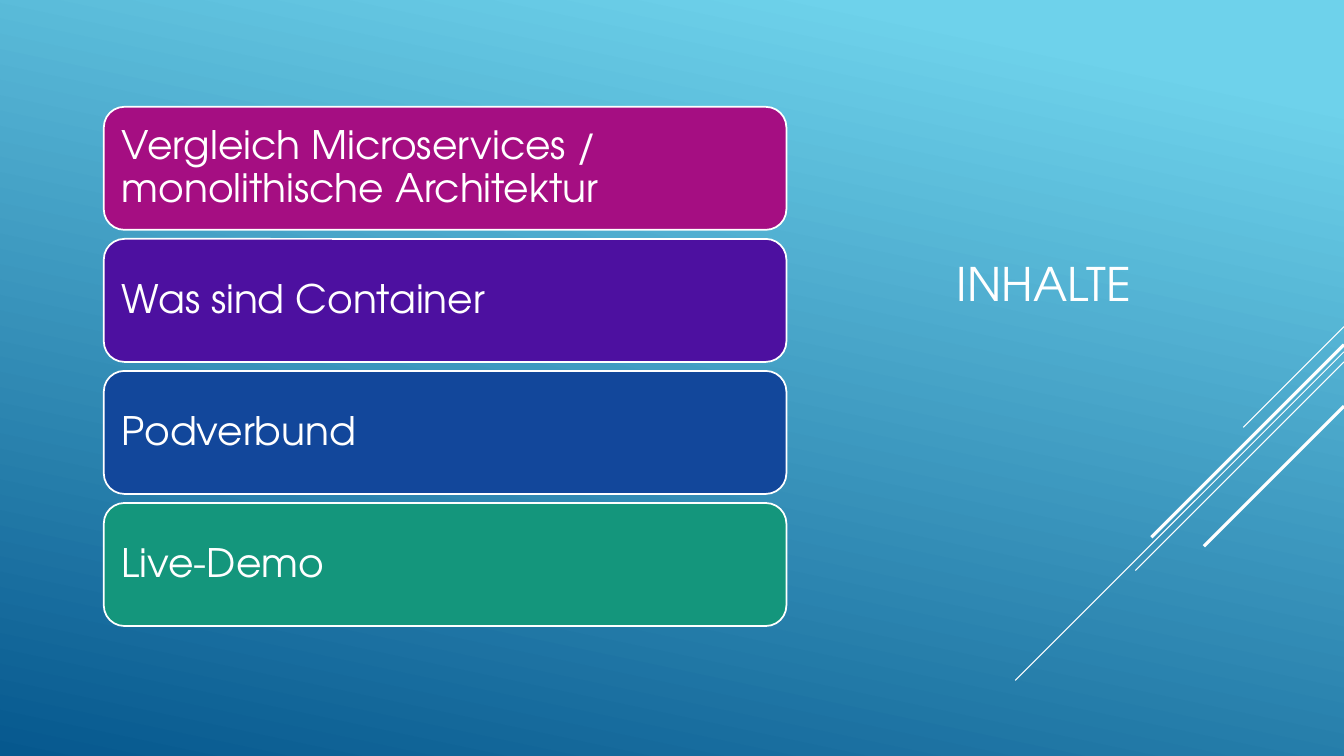
"""Build the contents slide with four topic cards and diagonal accent lines."""
from dataclasses import dataclass

import lxml.etree
import pptx
import pptx.dml.color
import pptx.enum.shapes
import pptx.enum.text
import pptx.oxml.ns
import pptx.slide
import pptx.text.text
import pptx.util

Inches = pptx.util.Inches
Pt = pptx.util.Pt
RGBColor = pptx.dml.color.RGBColor

WHITE = RGBColor(0xFF, 0xFF, 0xFF)
SKY = RGBColor(0x6E, 0xD2, 0xEB)
OCEAN = RGBColor(0x06, 0x58, 0x8E)
MAGENTA = RGBColor(0xA5, 0x0E, 0x82)
VIOLET = RGBColor(0x4D, 0x10, 0xA0)
BLUE = RGBColor(0x12, 0x47, 0x9B)
GREEN = RGBColor(0x14, 0x96, 0x7C)

FONT = "TeX Gyre Adventor"
SLIDE_WIDTH = 13.33
SLIDE_HEIGHT = 7.5
CARD_LEFT, CARD_TOP = 1.03, 1.06
CARD_WIDTH, CARD_HEIGHT, CARD_GAP = 6.77, 1.22, 0.09
CARD_INSET = 0.12


@dataclass(frozen=True)
class Topic:
    text: str
    color: RGBColor


@dataclass(frozen=True)
class Streak:
    top: float
    reach: float
    weight: float


TOPICS = [
    Topic("Vergleich Microservices / monolithische Architektur", MAGENTA),
    Topic("Was sind Container", VIOLET),
    Topic("Podverbund", BLUE),
    Topic("Live-Demo", GREEN),
]

STREAKS = [
    Streak(3.24, 1.0, 0.75),
    Streak(3.49, 3.26, 0.75),
    Streak(3.59, 2.07, 0.75),
    Streak(3.42, 1.91, 2.25),
    Streak(4.03, 1.39, 2.25),
]


def paint_background(slide: pptx.slide.Slide) -> None:
    fill = slide.background.fill
    fill.gradient()
    fill.gradient_angle = 258
    for stop, color, position in zip(fill.gradient_stops, (SKY, OCEAN), (0.1, 1.0)):
        stop.color.rgb = color
        stop.position = position


def style_text(
    paragraph: pptx.text.text._Paragraph, size: float, spacing: float
) -> None:
    paragraph.alignment = pptx.enum.text.PP_ALIGN.LEFT
    paragraph.line_spacing = spacing
    paragraph.font.name = FONT
    paragraph.font.size = Pt(size)
    paragraph.font.color.rgb = WHITE


def draw_streak(slide: pptx.slide.Slide, streak: Streak) -> None:
    line = slide.shapes.add_connector(
        pptx.enum.shapes.MSO_CONNECTOR.STRAIGHT,
        Inches(SLIDE_WIDTH),
        Inches(streak.top),
        Inches(SLIDE_WIDTH - streak.reach),
        Inches(streak.top + streak.reach),
    )
    line.line.color.rgb = WHITE
    line.line.width = Pt(streak.weight)
    lxml.etree.SubElement(line._element.spPr, pptx.oxml.ns.qn("a:effectLst"))


def write_title(slide: pptx.slide.Slide, text: str) -> None:
    title = slide.shapes.title
    title.left, title.top = Inches(9.39), Inches(1.03)
    title.width, title.height = Inches(3.33), Inches(3.55)
    title.text_frame.text = text
    title.text_frame.vertical_anchor = pptx.enum.text.MSO_ANCHOR.MIDDLE
    style_text(title.text_frame.paragraphs[0], 33, 1.0)


def draw_card(slide: pptx.slide.Slide, row: int, topic: Topic) -> None:
    card = slide.shapes.add_shape(
        pptx.enum.shapes.MSO_SHAPE.ROUNDED_RECTANGLE,
        Inches(CARD_LEFT),
        Inches(CARD_TOP + row * (CARD_HEIGHT + CARD_GAP)),
        Inches(CARD_WIDTH),
        Inches(CARD_HEIGHT),
    )
    card.shadow.inherit = False
    card.fill.solid()
    card.fill.fore_color.rgb = topic.color
    card.line.color.rgb = WHITE
    card.line.width = Pt(1.25)
    frame = card.text_frame
    frame.word_wrap = True
    frame.vertical_anchor = pptx.enum.text.MSO_ANCHOR.MIDDLE
    frame.margin_left = frame.margin_right = Inches(CARD_INSET)
    frame.margin_top = frame.margin_bottom = Inches(CARD_INSET)
    frame.text = topic.text
    style_text(frame.paragraphs[0], 28, 0.9)


def main() -> None:
    deck = pptx.Presentation()
    deck.slide_width = Inches(SLIDE_WIDTH)
    deck.slide_height = Inches(SLIDE_HEIGHT)
    slide = deck.slides.add_slide(deck.slide_layouts.get_by_name("Title Only"))
    paint_background(slide)
    for streak in STREAKS:
        draw_streak(slide, streak)
    write_title(slide, "INHALTE")
    for row, topic in enumerate(TOPICS):
        draw_card(slide, row, topic)
    deck.save("out.pptx")


if __name__ == "__main__":
    main()
